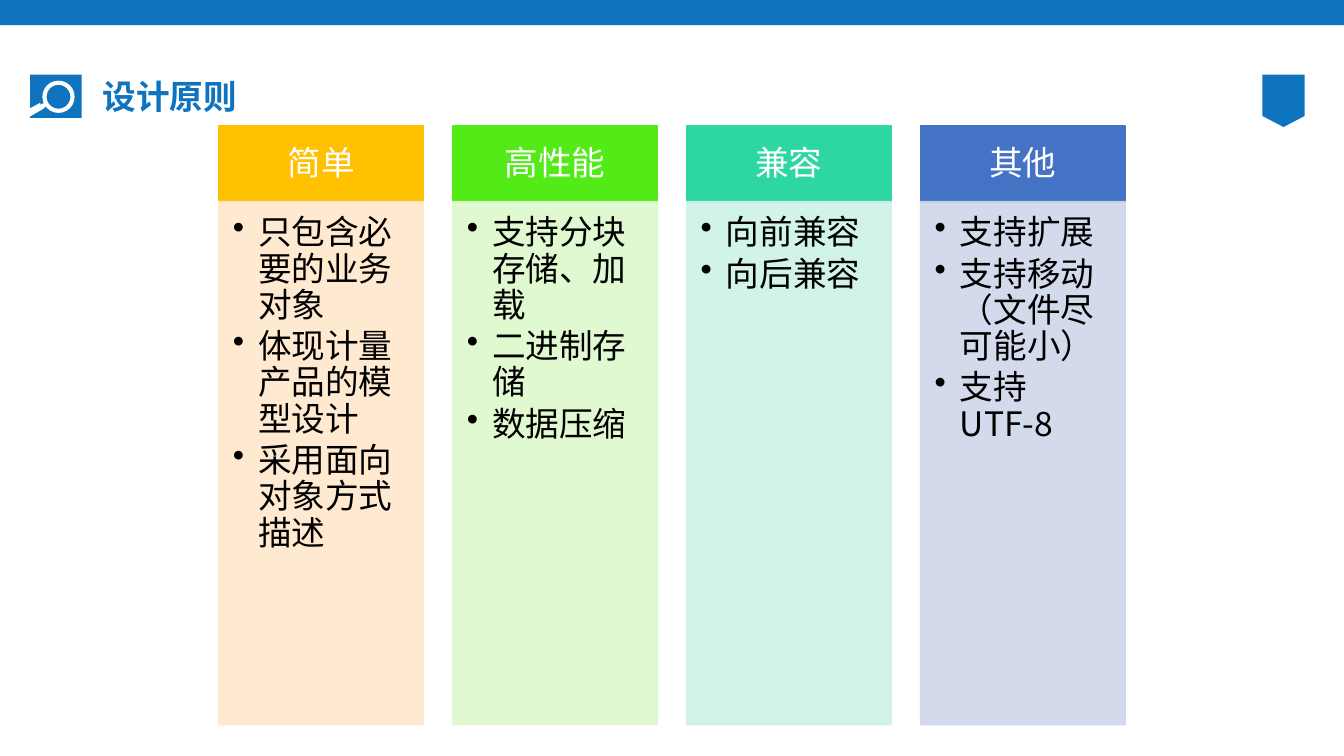
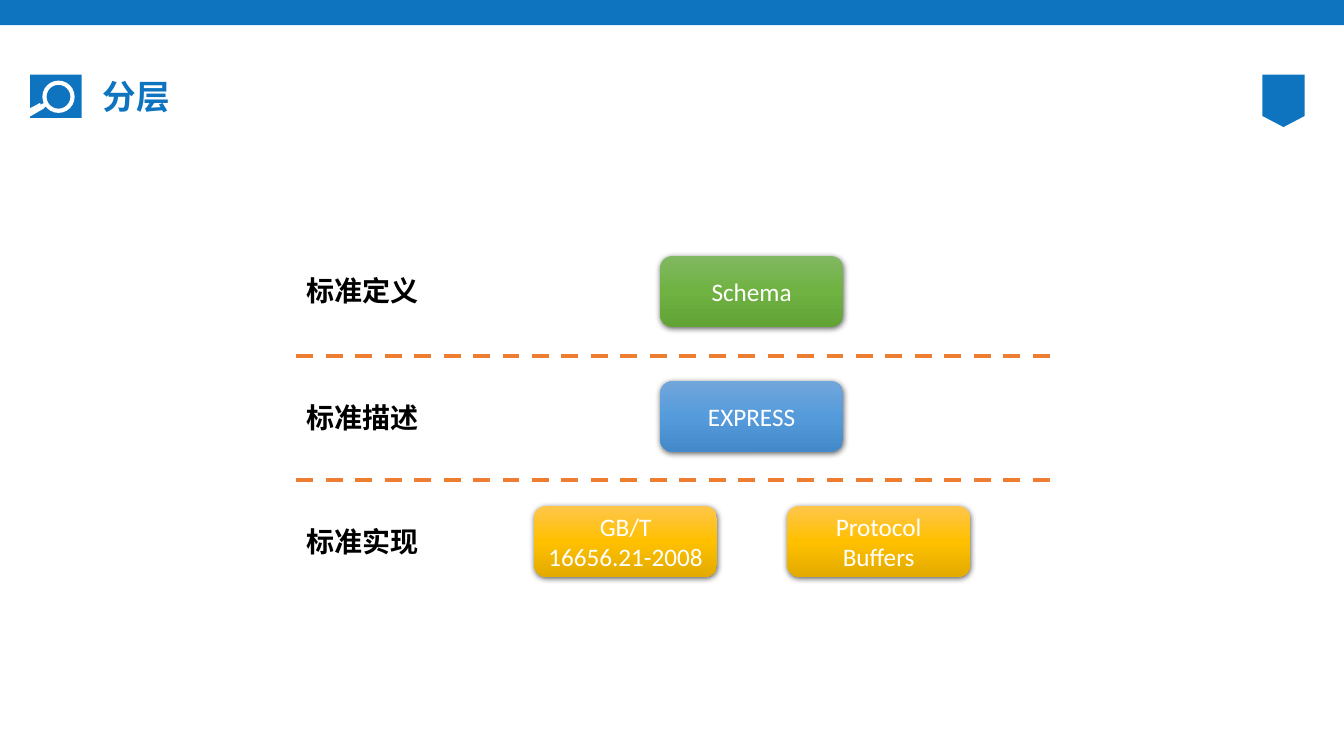
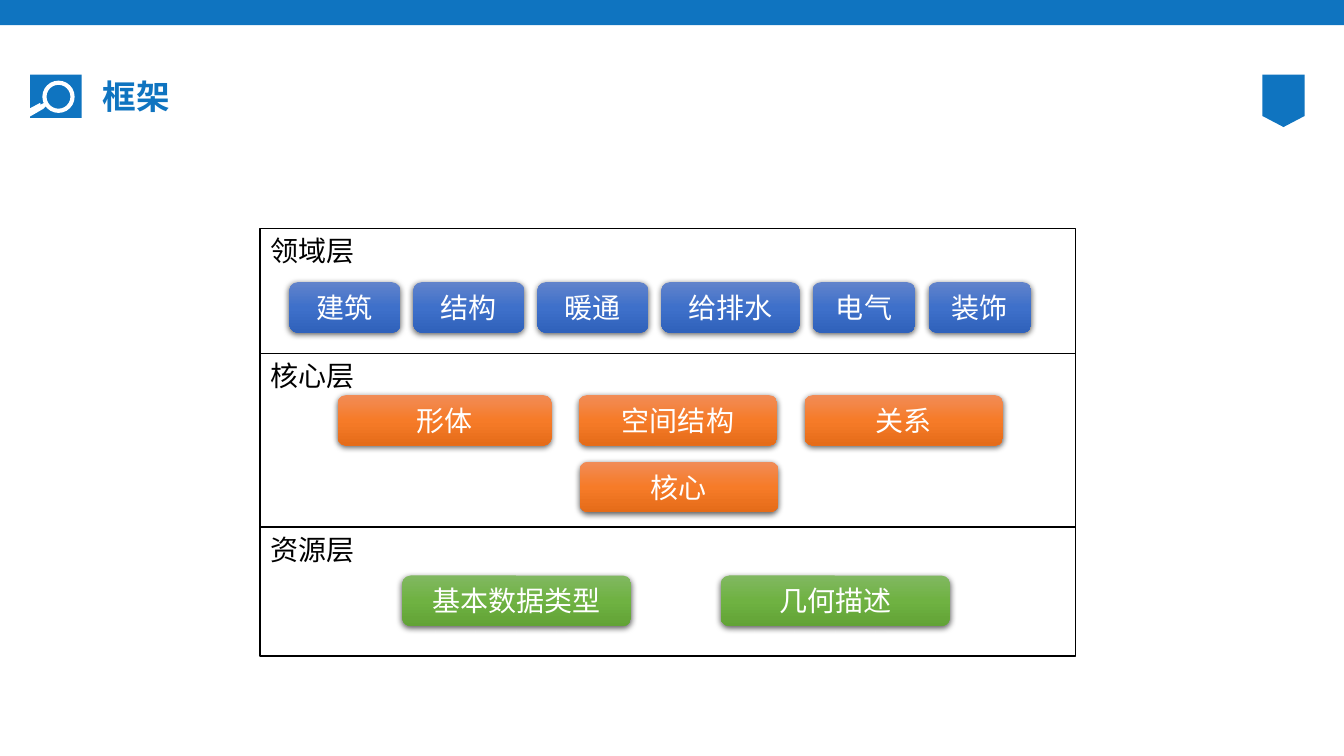
import copy
import dataclasses

import lxml.etree
import pptx
import pptx.dml.color
import pptx.enum.dml
import pptx.enum.shapes
import pptx.enum.text
import pptx.oxml.ns
import pptx.util

Inches = pptx.util.Inches
Pt = pptx.util.Pt
qn = pptx.oxml.ns.qn
Shape = pptx.enum.shapes.MSO_SHAPE
Align = pptx.enum.text.PP_ALIGN
Anchor = pptx.enum.text.MSO_ANCHOR


@dataclasses.dataclass(frozen=True)
class Theme:
    # Colours
    brand: str = "0F74C0"
    white: str = "FFFFFF"
    black: str = "000000"
    dash: str = "ED7D31"
    # Gradients, top to bottom
    gold: tuple = ("FFC64B", "FFC000", "E3AB00")
    sky: tuple = ("71A6DB", "559BDB", "448ACA")
    green: tuple = ("81B861", "6FB242", "62A336")
    orange: tuple = ("F18C57", "F67B28", "E56C19")
    blue: tuple = ("6183CB", "3E70CA", "3062BB")
    # Heading and body colours of the columns
    pairs: tuple = (("FFC000", "FFE8CC"), ("53EB17", "DDF9CC"),
                    ("2ED7A1", "CDF2E7"), ("4472C4", "CFD6EA"))
    # Fonts and type sizes
    hans: str = "Noto Sans CJK SC"
    latin: str = "Calibri"
    big: int = 24
    mid: int = 20
    small: int = 18


def rgb(code):
    return pptx.dml.color.RGBColor.from_string(code)


def node(parent, tag, **attrs):
    return lxml.etree.SubElement(parent, qn(tag), attrs)


class Deck:
    def __init__(self, theme):
        self.theme = theme
        self.file = pptx.Presentation()
        self.file.slide_width = Inches(13.33)
        self.file.slide_height = Inches(7.5)
        self.slide = None

    def start(self, title):
        """Add a slide with the shared band, icon, flag and title."""
        t = self.theme
        self.slide = self.file.slides.add_slide(self.file.slide_layouts[6])
        self.block((0, 0, 13.33, 0.25), t.brand)
        self.block((0.3, 0.74, 0.51, 0.43), t.brand)
        # Magnifier: ring and handle
        ring = self.block((0.42, 0.8, 0.32, 0.32), t.white, kind=Shape.DONUT)
        ring.adjustments[0] = 0.13
        self.outline([(0.44, 1.02), (0.4, 1.04), (0.4, 1.02), (0.25, 1.1), (0.24, 1.15),
                      (0.29, 1.16), (0.43, 1.08), (0.46, 1.05)], t.white)
        # Page flag
        self.outline([(12.52, 0.74), (12.94, 0.74), (12.94, 1.15),
                      (12.73, 1.26), (12.52, 1.15)], t.brand)
        box = self.label((0.92, 0.74, 11.5, 0.43), title, t.big, t.brand)
        box.text_frame.vertical_anchor = Anchor.MIDDLE

    def paint(self, shape, fill, line=None):
        shape.shadow.inherit = False
        shape.fill.solid()
        shape.fill.fore_color.rgb = rgb(fill)
        if line:
            shape.line.color.rgb = rgb(line)
            shape.line.width = Pt(1)
        else:
            shape.line.fill.background()

    def block(self, at, fill, line=None, kind=Shape.RECTANGLE):
        shape = self.slide.shapes.add_shape(kind, *map(Inches, at))
        self.paint(shape, fill, line)
        return shape

    def outline(self, points, fill):
        spots = [(Inches(x), Inches(y)) for x, y in points]
        build = self.slide.shapes.build_freeform(*spots[0])
        build.add_line_segments(spots[1:], close=True)
        self.paint(build.convert_to_shape(), fill)

    def words(self, frame, lines, size, ink, font=None, bold=False, align=Align.LEFT,
              space=1.0, after=0, dots=False):
        """Set one paragraph per line, with bullets if asked."""
        font = font or self.theme.hans
        for i, line in enumerate(lines):
            para = frame.add_paragraph() if i else frame.paragraphs[0]
            para.alignment = align
            para.line_spacing = space
            para.space_after = Pt(after)
            if dots:
                props = para._p.get_or_add_pPr()
                props.set("marL", str(Inches(0.25)))
                props.set("indent", str(Inches(-0.25)))
                node(props, "a:buChar", char="•")
            run = para.add_run()
            run.text = line
            run.font.size = Pt(size)
            run.font.bold = bold
            run.font.color.rgb = rgb(ink)
            run.font.name = font
            node(run._r.get_or_add_rPr(), "a:ea", typeface=font)

    def inset(self, frame, left, top, right, low):
        frame.margin_left, frame.margin_top = Inches(left), Inches(top)
        frame.margin_right, frame.margin_bottom = Inches(right), Inches(low)

    def label(self, at, text, size, ink):
        box = self.slide.shapes.add_textbox(*map(Inches, at))
        self.words(box.text_frame, [text], size, ink, bold=True)
        return box

    def column(self, left, head, items, dark, pale):
        """Draw a coloured heading over a pale bullet list."""
        t = self.theme
        top = self.block((left, 1.25, 2.03, 0.76), dark, dark)
        self.inset(top.text_frame, 0.19, 0.11, 0.19, 0.11)
        self.words(top.text_frame, [head], t.big, t.white, align=Align.CENTER, space=0.9)
        body = self.block((left, 2, 2.03, 5.19), pale, pale)
        for tint in body._element.spPr.iter(qn("a:srgbClr")):
            node(tint, "a:alpha", val="90000")
        body.text_frame.vertical_anchor = Anchor.TOP
        self.inset(body.text_frame, 0.14, 0.14, 0.19, 0.21)
        self.words(body.text_frame, items, t.big, t.black, space=0.9, after=3.6, dots=True)

    def button(self, at, text, shades, size, font=None):
        """Draw a rounded box with a gradient and a soft shadow."""
        shape = self.block(at, shades[1], kind=Shape.ROUNDED_RECTANGLE)
        shape.fill.gradient()
        shape.fill.gradient_angle = 270
        props = shape._element.spPr
        stops = props.find(".//" + qn("a:gsLst"))
        stops.append(copy.deepcopy(stops[0]))
        for i, stop in enumerate(shape.fill.gradient_stops):
            stop.color.rgb = rgb(shades[i])
            stop.position = i / 2
        glow = node(props.find(qn("a:effectLst")), "a:outerShdw", blurRad=str(Pt(4.5)),
                    dist=str(Pt(1.5)), dir="5400000", algn="ctr", rotWithShape="0")
        tint = node(glow, "a:srgbClr", val=self.theme.black)
        node(tint, "a:alpha", val="63000")
        self.words(shape.text_frame, [text], size, self.theme.white, font, align=Align.CENTER)

    def row(self, left, top, high, gap, cells, shades, size, font=None):
        """Set buttons side by side with equal gaps."""
        for text, wide in cells:
            self.button((left, top, wide, high), text, shades, size, font)
            left += wide + gap

    def layer(self, top, high, text):
        t = self.theme
        shape = self.block((2.58, top, 8.09, high), t.white, t.black)
        shape.text_frame.vertical_anchor = Anchor.TOP
        self.words(shape.text_frame, [text], t.mid, t.black)

    def rule(self, left, right, y):
        line = self.slide.shapes.add_connector(
            pptx.enum.shapes.MSO_CONNECTOR.STRAIGHT, *map(Inches, (left, y, right, y)))
        line.line.color.rgb = rgb(self.theme.dash)
        line.line.width = Pt(3)
        line.line.dash_style = pptx.enum.dml.MSO_LINE.DASH
        node(line._element.spPr, "a:effectLst")


def goals(deck):
    deck.start("设计原则")
    parts = [
        ("简单", ["只包含必要的业务对象", "体现计量产品的模型设计", "采用面向对象方式描述"]),
        ("高性能", ["支持分块存储、加载", "二进制存储", "数据压缩"]),
        ("兼容", ["向前兼容", "向后兼容"]),
        ("其他", ["支持扩展", "支持移动（文件尽可能小）", "支持UTF-8"]),
    ]
    for i, (head, items) in enumerate(parts):
        deck.column(2.17 + 2.32 * i, head, items, *deck.theme.pairs[i])


def levels(deck):
    t = deck.theme
    deck.start("分层")
    wide = 1.81
    rows = [
        ("标准定义", 2.66, 6.55, ["Schema"], t.green),
        ("标准描述", 3.92, 6.55, ["EXPRESS"], t.sky),
        ("标准实现", 5.15, 5.3, ["GB/T 16656.21-2008", "Protocol Buffers"], t.gold),
    ]
    for i, (name, y, left, names, shades) in enumerate(rows):
        deck.label((2.94, y, 1.32, 0.44), name, t.mid, t.black)
        deck.row(left, 2.54 + 1.24 * i, 0.7, 0.7, [(n, wide) for n in names],
                 shades, t.small, t.latin)
    for y in (3.53, 4.76):
        deck.rule(2.94, 10.52, y)


def stack(deck):
    t = deck.theme
    deck.start("框架")
    # Layers
    top = 2.27
    for name, high in (("领域层", 1.24), ("核心层", 1.72), ("资源层", 1.28)):
        deck.layer(top, high, name)
        top += high
    # Modules in each layer
    rows = [
        (2.87, 2.8, 0.13, [("建筑", 1.1), ("结构", 1.1), ("暖通", 1.1), ("给排水", 1.37),
                           ("电气", 1.02), ("装饰", 1.02)], t.blue),
        (3.35, 3.92, 0.27, [("形体", 2.12), ("空间结构", 1.97), ("关系", 1.97)], t.orange),
        (5.75, 4.58, 0, [("核心", 1.97)], t.orange),
        (3.99, 5.71, 0.89, [("基本数据类型", 2.27), ("几何描述", 2.27)], t.green),
    ]
    for left, y, gap, cells, shades in rows:
        deck.row(left, y, 0.5, gap, cells, shades, t.mid)


def main():
    deck = Deck(Theme())
    goals(deck)
    levels(deck)
    stack(deck)
    deck.file.save("out.pptx")


if __name__ == "__main__":
    main()
